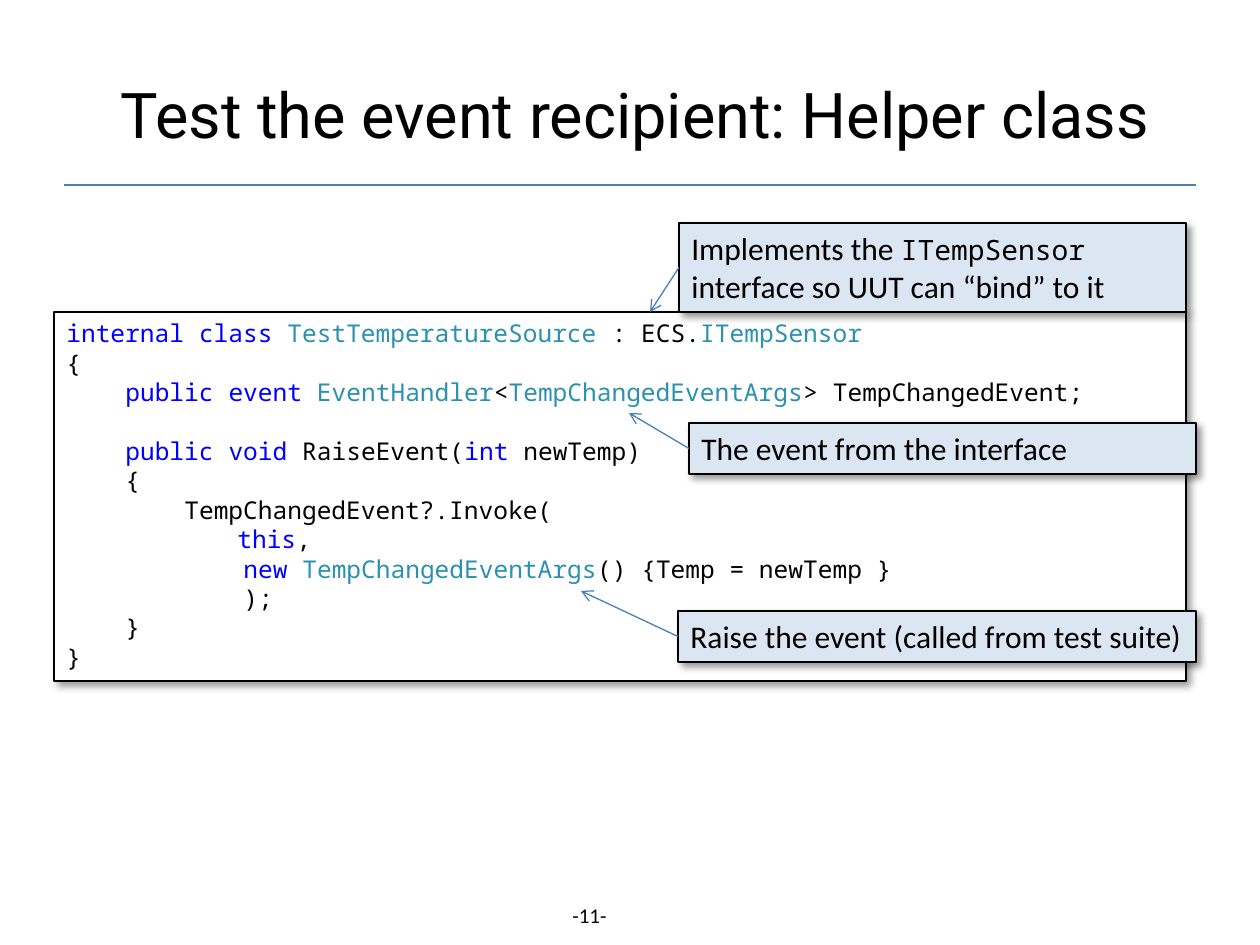
from dataclasses import dataclass

from lxml.etree import SubElement
from pptx import Presentation
from pptx.dml.color import RGBColor as RGB
from pptx.enum.shapes import MSO_CONNECTOR as Conn, MSO_SHAPE as Shape
from pptx.enum.text import MSO_ANCHOR as Anchor, PP_ALIGN as Align
from pptx.oxml.ns import qn
from pptx.util import Pt

EMU_PER_PX = 914400 / 126
LEFT_SIDE = 1


@dataclass(frozen=True)
class Theme:
    black: RGB = RGB(0, 0, 0)
    white: RGB = RGB(255, 255, 255)
    note_fill: RGB = RGB(0xDC, 0xE6, 0xF2)
    rule: RGB = RGB(0x4B, 0x7E, 0xBC)
    keyword: RGB = RGB(0, 0, 255)
    type_name: RGB = RGB(0x2B, 0x91, 0xAF)
    title_font: str = "Roboto"
    body_font: str = "Calibri"
    code_font: str = "Noto Sans Mono"
    title_size: int = 36
    note_size: int = 18
    inline_code_size: int = 16
    code_size: int = 14
    page_size: int = 12
    code_leading: float = 16.8
    line_width: float = 0.75


T = Theme()
STYLES = {"k": T.keyword, "t": T.type_name, "": T.black}

# Code lines: indent in px, blank lines above, then (style, text) runs
CODE = [
    (0, 0, [("k", "internal"), ("", " "), ("k", "class"), ("", " "),
            ("t", "TestTemperatureSource"), ("", " : ECS."), ("t", "ITempSensor")]),
    (0, 0, [("", "{")]),
    (59, 0, [("k", "public"), ("", " "), ("k", "event"), ("", " "),
             ("t", "EventHandler"), ("", "<"), ("t", "TempChangedEventArgs"),
             ("", "> TempChangedEvent;")]),
    (59, 1, [("k", "public"), ("", " "), ("k", "void"), ("", " RaiseEvent("),
             ("k", "int"), ("", " newTemp)")]),
    (59, 0, [("", "{")]),
    (118, 0, [("", "TempChangedEvent?.Invoke(")]),
    (171, 0, [("k", "this"), ("", ",")]),
    (177, 0, [("k", "new"), ("", " "), ("t", "TempChangedEventArgs"),
              ("", "() {Temp = newTemp }")]),
    (177, 0, [("", ");")]),
    (59, 0, [("", "}")]),
    (0, 0, [("", "}")]),
]

# Notes: box in px, arrow target, then (text, font, size) runs
NOTES = [
    ((679, 223, 507, 89), (650, 312),
     [("Implements the ", T.body_font, T.note_size),
      ("ITempSensor", T.code_font, T.inline_code_size),
      (" interface so UUT can “bind” to it", T.body_font, T.note_size)]),
    ((678, 611, 518, 51), (581, 591),
     [("Raise the event (called from test suite)", T.body_font, T.note_size)]),
    ((689, 423, 507, 51), (629, 413),
     [("The event from the interface", T.body_font, T.note_size)]),
]


def px(n):
    return round(n * EMU_PER_PX)


def add_run(p, text, font, size, color=T.black):
    r = p.add_run()
    r.text = text
    r.font.name, r.font.size = font, Pt(size)
    r.font.color.rgb = color


def add_shadow(sp):
    sp.shadow.inherit = False
    effects = sp._element.spPr.find(qn("a:effectLst"))
    shadow = SubElement(effects, qn("a:outerShdw"), blurRad=str(Pt(4)),
                        dist=str(Pt(3)), dir=str(45 * 60000),
                        algn="tl", rotWithShape="0")
    color = SubElement(shadow, qn("a:srgbClr"), val=str(T.black))
    SubElement(color, qn("a:alpha"), val="40000")


def add_box(slide, box, fill):
    sp = slide.shapes.add_shape(Shape.RECTANGLE, *map(px, box))
    sp.fill.solid()
    sp.fill.fore_color.rgb = fill
    sp.line.color.rgb = T.black
    sp.line.width = Pt(T.line_width)
    add_shadow(sp)
    tf = sp.text_frame
    tf.word_wrap = True
    tf.vertical_anchor = Anchor.TOP
    tf.paragraphs[0].alignment = Align.LEFT
    return sp


def add_line(slide, start, end, arrow=False):
    line = slide.shapes.add_connector(Conn.STRAIGHT, *map(px, start + end))
    line.line.color.rgb = T.rule
    line.line.width = Pt(T.line_width)
    spPr = line._element.spPr
    if arrow:
        SubElement(spPr.find(qn("a:ln")), qn("a:tailEnd"), type="arrow")
    SubElement(spPr, qn("a:effectLst"))
    return line


def add_title(slide, text):
    sp = slide.shapes.title
    sp.left, sp.top, sp.width, sp.height = map(px, (64, 34, 1142, 158))
    tf = sp.text_frame
    tf.vertical_anchor = Anchor.MIDDLE
    p = tf.paragraphs[0]
    p.alignment = Align.CENTER
    add_run(p, text, T.title_font, T.title_size)


def add_page_number(slide, text):
    sp = slide.shapes.add_textbox(*map(px, (555, 896, 69, 38)))
    sp.text_frame.word_wrap = True
    p = sp.text_frame.paragraphs[0]
    p.alignment = Align.CENTER
    add_run(p, text, T.body_font, T.page_size)


def add_code(slide, box, lines):
    tf = add_box(slide, box, T.white).text_frame
    for i, (indent, blanks, runs) in enumerate(lines):
        p = tf.add_paragraph() if i else tf.paragraphs[0]
        p.alignment = Align.LEFT
        p.line_spacing = Pt(T.code_leading)
        p.space_before = Pt(blanks * T.code_leading)
        p._p.get_or_add_pPr().set("marL", str(px(indent)))
        for style, text in runs:
            add_run(p, text, T.code_font, T.code_size, STYLES[style])


def add_note(slide, box, runs):
    sp = add_box(slide, box, T.note_fill)
    for text, font, size in runs:
        add_run(sp.text_frame.paragraphs[0], text, font, size)
    return sp


def add_note_arrow(slide, note, box, target):
    left, top, _, height = box
    line = add_line(slide, (left, top + height / 2), target, arrow=True)
    line.begin_connect(note, LEFT_SIDE)


def main():
    prs = Presentation()
    prs.slide_width, prs.slide_height = px(1260), px(945)
    slide = prs.slides.add_slide(prs.slide_layouts[5])

    # Page frame
    add_page_number(slide, "-11-")
    add_line(slide, (64, 185), (1196, 185))
    add_title(slide, "Test the event recipient: Helper class")

    # Code listing
    add_code(slide, (54, 312, 1132, 369), CODE)

    # Notes first, then their arrows on top
    notes = [add_note(slide, box, runs) for box, _, runs in NOTES]
    for note, (box, target, _) in zip(notes, NOTES):
        add_note_arrow(slide, note, box, target)

    prs.save("out.pptx")


if __name__ == "__main__":
    main()
